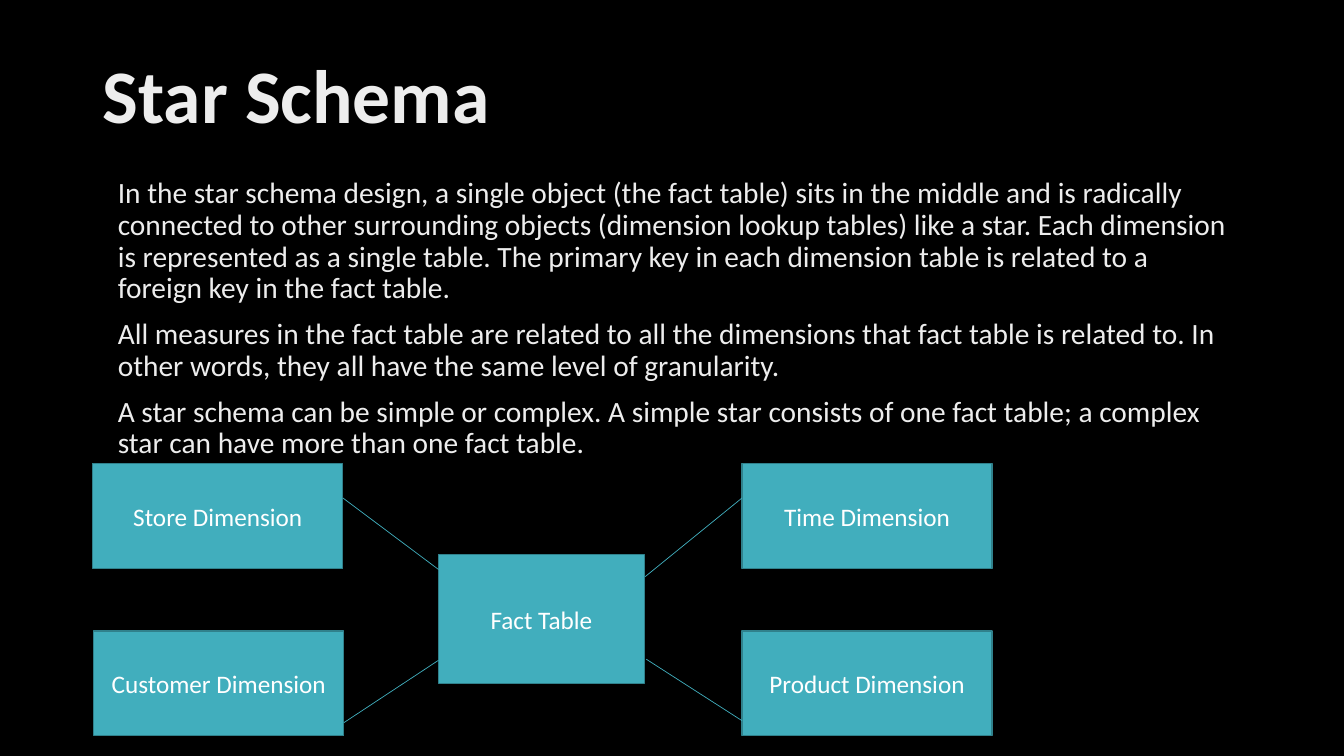
from pptx import Presentation
from pptx.dml.color import RGBColor
from pptx.enum.shapes import MSO_CONNECTOR, MSO_SHAPE
from pptx.enum.text import MSO_ANCHOR, PP_ALIGN
from pptx.oxml.ns import qn
from pptx.util import Inches, Pt
from lxml.etree import SubElement


def color(value):
    return RGBColor.from_string(value)


def write(tf, paragraphs, size, fill, bold=False, align=PP_ALIGN.LEFT,
          anchor=MSO_ANCHOR.TOP, spacing=None, before=0):
    tf.word_wrap = True
    tf.vertical_anchor = anchor
    for i, text in enumerate(paragraphs):
        p = tf.paragraphs[0] if i == 0 else tf.add_paragraph()
        p.alignment = align
        p.line_spacing = spacing
        p.space_before = Pt(before)
        r = p.add_run()
        r.text = text
        r.font.name = "Calibri"
        r.font.size = Pt(size)
        r.font.bold = bold
        r.font.color.rgb = color(fill)


class Deck:
    BACK, TEXT, WHITE = "000000", "EDEDED", "FFFFFF"
    TEAL, EDGE = "41AEBD", "30818C"

    def __init__(self):
        self.prs = Presentation()
        self.prs.slide_width = Inches(13.33)
        self.prs.slide_height = Inches(7.5)
        self.s = self.prs.slides.add_slide(self.prs.slide_layouts[6])
        self.s.background.fill.solid()
        self.s.background.fill.fore_color.rgb = color(self.BACK)

    def text(self, box, paragraphs, size, **fmt):
        sp = self.s.shapes.add_textbox(*map(Inches, box))
        write(sp.text_frame, paragraphs, size, self.TEXT, spacing=0.9, **fmt)

    def table_box(self, label, x, y, w, h):
        sp = self.s.shapes.add_shape(MSO_SHAPE.RECTANGLE, *map(Inches, (x, y, w, h)))
        sp.shadow.inherit = False
        sp.fill.solid()
        sp.fill.fore_color.rgb = color(self.TEAL)
        sp.line.color.rgb = color(self.EDGE)
        sp.line.width = Pt(1)
        write(sp.text_frame, [label], 18, self.WHITE,
              align=PP_ALIGN.CENTER, anchor=MSO_ANCHOR.MIDDLE)

    def link(self, *ends):
        line = self.s.shapes.add_connector(MSO_CONNECTOR.STRAIGHT, *map(Inches, ends))
        line.line.color.rgb = color(self.TEAL)
        line.line.width = Pt(0.5)
        SubElement(line._element.spPr, qn("a:effectLst"))


def main():
    deck = Deck()

    # Title and explanation
    deck.text((0.92, 0.4, 11.5, 1.16), ["Star Schema"], 54,
              bold=True, anchor=MSO_ANCHOR.MIDDLE)
    deck.text((1.07, 1.72, 11.19, 5.43), [
        "In the star schema design, a single object (the fact table) sits in the "
        "middle and is radically connected to other surrounding objects (dimension "
        "lookup tables) like a star. Each dimension is represented as a single table. "
        "The primary key in each dimension table is related to a foreign key in the "
        "fact table.",
        "All measures in the fact table are related to all the dimensions that fact "
        "table is related to. In other words, they all have the same level of "
        "granularity.",
        "A star schema can be simple or complex. A simple star consists of one fact "
        "table; a complex star can have more than one fact table.",
    ], 21, before=10)

    # Fact table with its dimensions
    deck.table_box("Fact Table", 4.35, 5.5, 2.04, 1.28)
    top, bottom = 4.6, 6.26
    for name, x, y in [("Time", 7.36, top), ("Product", 7.36, bottom),
                       ("Store", 0.92, top), ("Customer", 0.93, bottom)]:
        deck.table_box(f"{name} Dimension", x, y, 2.48, 1.04)

    # Links between the fact table and each dimension
    for ends in [(3.4, 4.94, 4.35, 5.65), (7.36, 4.94, 6.4, 5.72),
                 (4.35, 6.55, 3.41, 7.17), (6.41, 6.54, 7.36, 7.15)]:
        deck.link(*ends)

    deck.prs.save("out.pptx")


if __name__ == "__main__":
    main()
